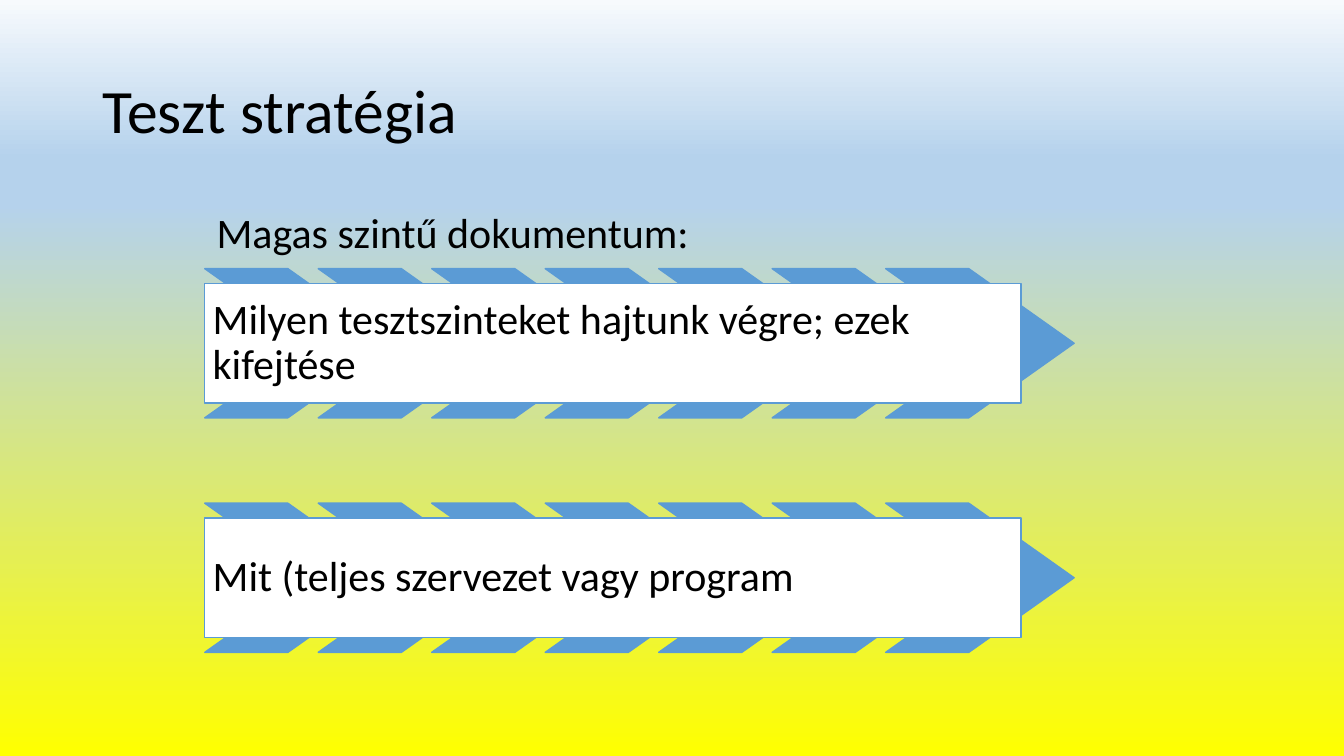
from lxml import etree
from pptx import Presentation
from pptx.dml.color import RGBColor
from pptx.enum.shapes import MSO_SHAPE
from pptx.enum.text import MSO_ANCHOR, MSO_AUTO_SIZE, PP_ALIGN
from pptx.oxml.ns import qn
from pptx.util import Cm, Pt

CHEVRON = MSO_SHAPE.CHEVRON
RECTANGLE = MSO_SHAPE.RECTANGLE
MIDDLE = MSO_ANCHOR.MIDDLE
BOTTOM = MSO_ANCHOR.BOTTOM
LEFT = PP_ALIGN.LEFT
NO_AUTOFIT = MSO_AUTO_SIZE.NONE

BLUE = "5B9BD5"
WHITE = "FFFFFF"
BLACK = "000000"
SKY = [(0, "F7FAFD"), (21, "B5D2EC"), (27, "B5D2EC"), (100, "FFFF00")]


def rgb(value):
    return RGBColor.from_string(value)


def write(holder, text, size=30, anchor=MIDDLE, inset=(0.2, 0.2), color=BLACK):
    frame = holder.text_frame
    frame.word_wrap = True
    frame.auto_size = NO_AUTOFIT
    frame.vertical_anchor = anchor
    frame.margin_left = frame.margin_right = Cm(inset[0])
    frame.margin_top = frame.margin_bottom = Cm(inset[1])
    paragraph = frame.paragraphs[0]
    paragraph.alignment = LEFT
    paragraph.line_spacing = 0.9
    paragraph.space_before = Pt(0)
    run = paragraph.add_run()
    run.text = text
    run.font.name = "Calibri"
    run.font.size = Pt(size)
    run.font.color.rgb = rgb(color)


prs = Presentation()
prs.slide_width = Cm(33.87)
prs.slide_height = Cm(19.05)
slide = prs.slides.add_slide(prs.slide_layouts[5])

sky_fill = slide.background.fill
sky_fill.gradient()
sky_fill.gradient_angle = 270
stops = next(slide.element.iter(qn("a:gsLst")))
for stop in list(stops):
    stops.remove(stop)
for percent, color in SKY:
    stop = etree.SubElement(stops, qn("a:gs"), pos=str(percent * 1000))
    etree.SubElement(stop, qn("a:srgbClr"), val=color)

title = slide.shapes.title
title.left, title.top = Cm(2.34), Cm(1.02)
title.width, title.height = Cm(29.21), Cm(3.68)
write(title, "Teszt stratégia", size=44, inset=(0.25, 0.13))

left = 5.16
caption = slide.shapes.add_textbox(Cm(left), Cm(4.93), Cm(20.32), Cm(1.85))
write(caption, "Magas szintű dokumentum:", anchor=BOTTOM, inset=(0.3, 0.3))

topics = [
    "Milyen tesztszinteket hajtunk végre; ezek kifejtése",
    "Mit (teljes szervezet vagy program",
]
for row, topic in enumerate(topics):
    top = 6.77 + row * 5.91
    chevrons = []
    for column in range(7):
        chevron = slide.shapes.add_shape(
            CHEVRON, Cm(left + column * 2.86), Cm(top), Cm(4.75), Cm(3.76))
        chevron.adjustments[0] = 0.706
        chevrons.append(chevron)
    panel = slide.shapes.add_shape(
        RECTANGLE, Cm(left), Cm(top + 0.37), Cm(20.57), Cm(3.02))
    write(panel, topic)
    for shape in chevrons + [panel]:
        shape.shadow.inherit = False
        shape.fill.solid()
        shape.fill.fore_color.rgb = rgb(WHITE if shape is panel else BLUE)
        shape.line.color.rgb = rgb(BLUE)
        shape.line.width = Pt(1)

prs.save("out.pptx")
